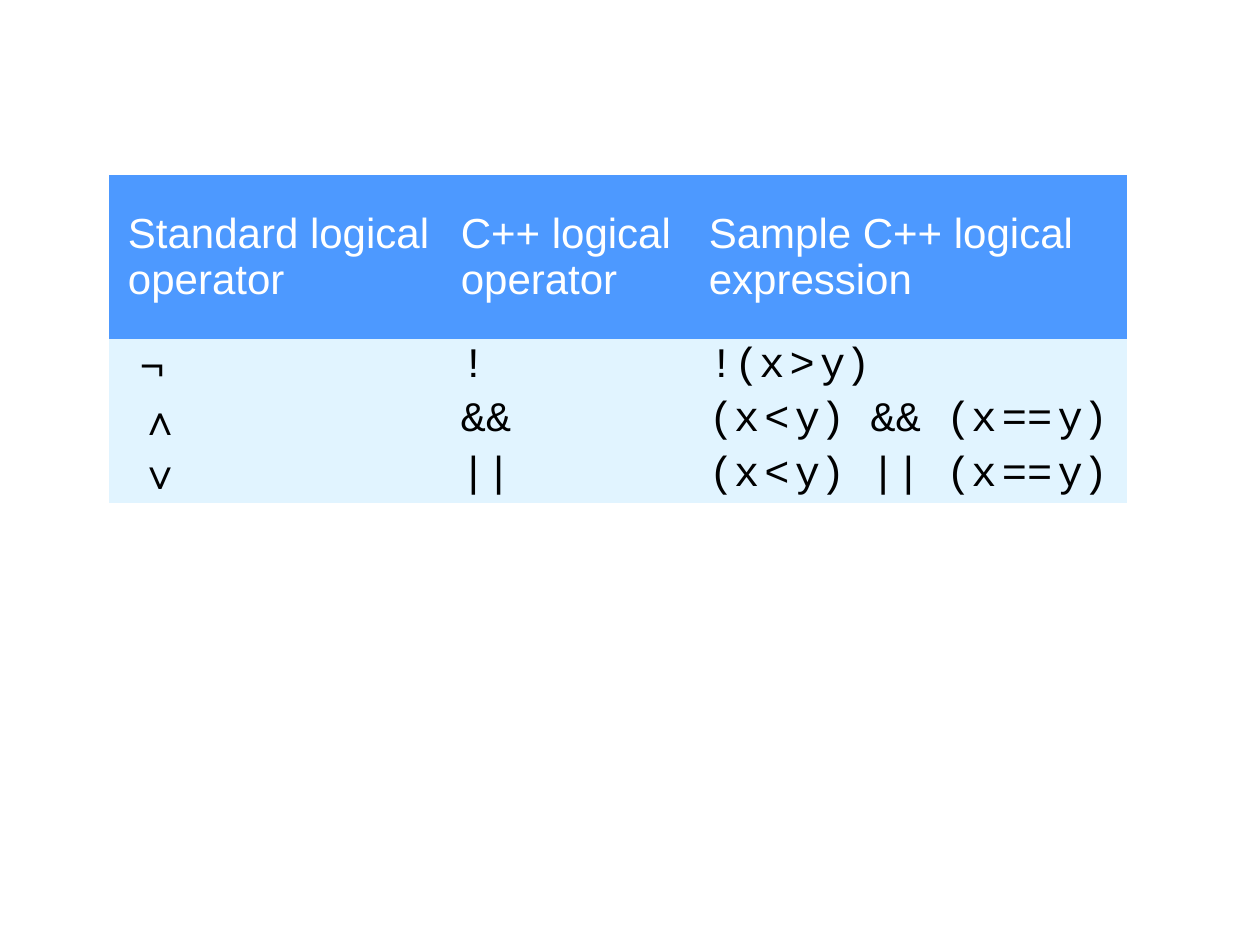
from pptx import Presentation
from pptx.dml.color import RGBColor
from pptx.enum.text import MSO_ANCHOR
from pptx.util import Cm, Pt

COLORS = {"head": "4D99FF", "body": "E1F4FF", "white": "FFFFFF", "black": "000000"}
NO_STYLE = "{2D5ABB26-0587-4C30-8999-92F81FD0307C}"

# A tilde switches the wider letter spacing on and off
ROWS = [
    ["Standard logical\voperator", "C++ logical\voperator", "Sample C++ logical\vexpression"],
    ["¬", "!", "!(~x>~y)"],
    ["∧", "&&", "(~x<~y) && (~x~=~=~y)"],
    ["∨", "||", "(~x<~y) || (~x~=~=~y)"],
]
WIDTHS = [7.01, 5, 8.51]
HEIGHTS = [3.3, 1.1, 1.1, 1.1]

deck = Presentation()
deck.slide_width, deck.slide_height = Cm(25.4), Cm(19.05)
slide = deck.slides.add_slide(deck.slide_layouts[6])

# Plain table without style bands or borders
frame = slide.shapes.add_table(len(ROWS), len(WIDTHS), Cm(2.2), Cm(3.53),
                               Cm(sum(WIDTHS)), Cm(sum(HEIGHTS)))
table = frame.table
table.first_row = table.horz_banding = False
table._tbl.tblPr.find("{*}tableStyleId").text = NO_STYLE
for col, width in zip(table.columns, WIDTHS):
    col.width = Cm(width)
for row, height in zip(table.rows, HEIGHTS):
    row.height = Cm(height)

# Cells
for r, texts in enumerate(ROWS):
    for c, text in enumerate(texts):
        head, symbol = r == 0, r > 0 and c == 0
        cell = table.cell(r, c)
        cell.fill.solid()
        cell.fill.fore_color.rgb = RGBColor.from_string(COLORS["head" if head else "body"])
        cell.vertical_anchor = MSO_ANCHOR.MIDDLE
        cell.margin_left = Cm(0.3 if c == 0 else 0)
        cell.margin_right = cell.margin_top = cell.margin_bottom = 0

        para = cell.text_frame.paragraphs[0]
        parts = text.split("~")
        para.text = parts[0]
        for i, part in enumerate(parts[1:], 1):
            run = para.add_run()
            run.text = part
            if i % 2:
                run._r.get_or_add_rPr().set("spc", "300")

        # Symbols sit a little further in than the other text
        props = para._p.get_or_add_pPr()
        props.set("marL", str(Cm(0.32 if symbol else 0.08)))
        props.set("indent", "0")
        for run in para.runs:
            run.font.size = Pt(24)
            run.font.name = "Arial" if head or symbol else "Courier New"
            run.font.color.rgb = RGBColor.from_string(COLORS["white" if head else "black"])

deck.save("out.pptx")
